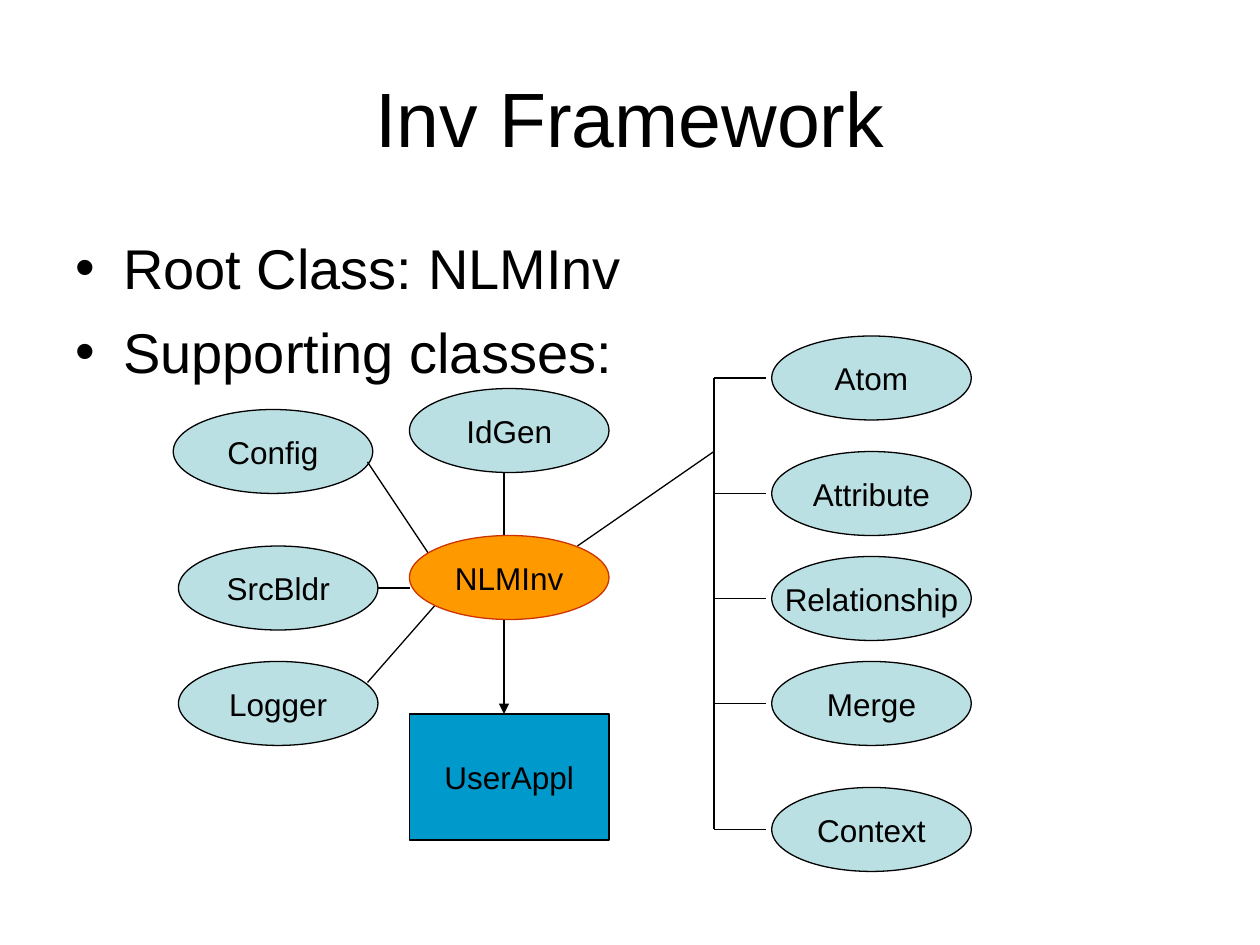
import dataclasses

import pptx
import pptx.dml.color
import pptx.enum.shapes
import pptx.enum.text
import pptx.oxml.ns
import pptx.util
from lxml import etree

SHAPES = pptx.enum.shapes.MSO_SHAPE
ALIGN = pptx.enum.text.PP_ALIGN
ANCHOR = pptx.enum.text.MSO_ANCHOR
qn = pptx.oxml.ns.qn


@dataclasses.dataclass(frozen=True)
class Theme:
    font: str = "Arial"
    ink: str = "000000"
    support: str = "BBE0E3"
    root: str = "FF9900"
    root_edge: str = "CC3300"
    application: str = "0099CC"
    title_size: int = 44
    body_size: int = 32
    label_size: int = 18
    line_width: float = 0.75


def rgb(value):
    return pptx.dml.color.RGBColor.from_string(value)


class Diagram:
    """Draws on one page with a grid of 120 columns and 90 rows."""

    def __init__(self, deck, theme):
        self.theme = theme
        self.cell = deck.slide_width / 120
        self.page = deck.slides.add_slide(deck.slide_layouts[5])

    def units(self, *cells):
        return [round(count * self.cell) for count in cells]

    def add_span(self, para, text, size):
        span = para.add_run()
        span.text = text
        span.font.name = self.theme.font
        span.font.size = pptx.util.Pt(size)
        span.font.color.rgb = rgb(self.theme.ink)

    def title(self, text, left, top, width, height):
        box = self.page.shapes.title
        box.left, box.top, box.width, box.height = self.units(left, top, width, height)
        frame = box.text_frame
        frame.auto_size = pptx.enum.text.MSO_AUTO_SIZE.NONE
        frame.vertical_anchor = ANCHOR.MIDDLE
        para = frame.paragraphs[0]
        para.alignment = ALIGN.CENTER
        self.add_span(para, text, self.theme.title_size)

    def bullets(self, items, left, top, width, height):
        box = self.page.shapes.add_textbox(*self.units(left, top, width, height))
        frame = box.text_frame
        frame.word_wrap = True
        frame.margin_top = pptx.util.Inches(0.1)
        for index, text in enumerate(items):
            para = frame.add_paragraph() if index else frame.paragraphs[0]
            if index:
                para.space_before = pptx.util.Pt(10)
            properties = para._p.get_or_add_pPr()
            indent = pptx.util.Inches(0.38)
            properties.set("marL", str(indent))
            properties.set("indent", str(-indent))
            etree.SubElement(properties, qn("a:buFont"), typeface=self.theme.font)
            etree.SubElement(properties, qn("a:buChar"), char="•")
            self.add_span(para, text, self.theme.body_size)

    def node(self, text, left, top, fill=None, edge=None, kind=SHAPES.OVAL, height=8):
        box = self.page.shapes.add_shape(kind, *self.units(left, top, 19, height))
        box.shadow.inherit = False
        box.fill.solid()
        box.fill.fore_color.rgb = rgb(fill or self.theme.support)
        box.line.color.rgb = rgb(edge or self.theme.ink)
        box.line.width = pptx.util.Pt(self.theme.line_width)
        frame = box.text_frame
        frame.word_wrap = False
        frame.vertical_anchor = ANCHOR.MIDDLE
        para = frame.paragraphs[0]
        para.alignment = ALIGN.CENTER
        self.add_span(para, text, self.theme.label_size)

    def link(self, *ends, arrow=False):
        connector = self.page.shapes.add_connector(
            pptx.enum.shapes.MSO_CONNECTOR.STRAIGHT, *self.units(*ends))
        connector.line.color.rgb = rgb(self.theme.ink)
        connector.line.width = pptx.util.Pt(self.theme.line_width)
        properties = connector._element.spPr
        if arrow:
            etree.SubElement(properties.find(qn("a:ln")), qn("a:tailEnd"), type="triangle")
        etree.SubElement(properties, qn("a:effectLst"))


def main():
    deck = pptx.Presentation()
    deck.slide_width = pptx.util.Inches(10)
    deck.slide_height = pptx.util.Inches(7.5)
    theme = Theme()
    diagram = Diagram(deck, theme)

    diagram.title("Inv Framework", 6, 3.6, 108, 15)
    diagram.bullets(["Root Class: NLMInv", "Supporting classes:"], 6, 21, 108, 59.4)

    # Data classes hang off a vertical trunk.
    trunk = 68
    data_classes = {"Atom": 32, "Attribute": 43, "Relationship": 53, "Merge": 63, "Context": 75}
    for name, top in data_classes.items():
        diagram.node(name, 73.5, top)
        diagram.link(trunk, top + 4, trunk + 5, top + 4)
    diagram.link(trunk, 36, trunk, 79)

    helpers = [("Config", 16.5, 39), ("IdGen", 39, 37), ("SrcBldr", 17, 52), ("Logger", 17, 63)]
    for name, left, top in helpers:
        diagram.node(name, left, top)
    diagram.node("UserAppl", 39, 68, theme.application, kind=SHAPES.RECTANGLE, height=12)

    root_links = [
        (35, 44, 41, 53),
        (48, 45, 48, 51),
        (36, 56, 39, 56),
        (35, 65, 42, 57),
        (55, 52, trunk, 43),
    ]
    for ends in root_links:
        diagram.link(*ends)
    diagram.link(48, 59, 48, 68, arrow=True)
    diagram.node("NLMInv", 39, 51, theme.root, theme.root_edge)

    deck.save("out.pptx")


if __name__ == "__main__":
    main()
